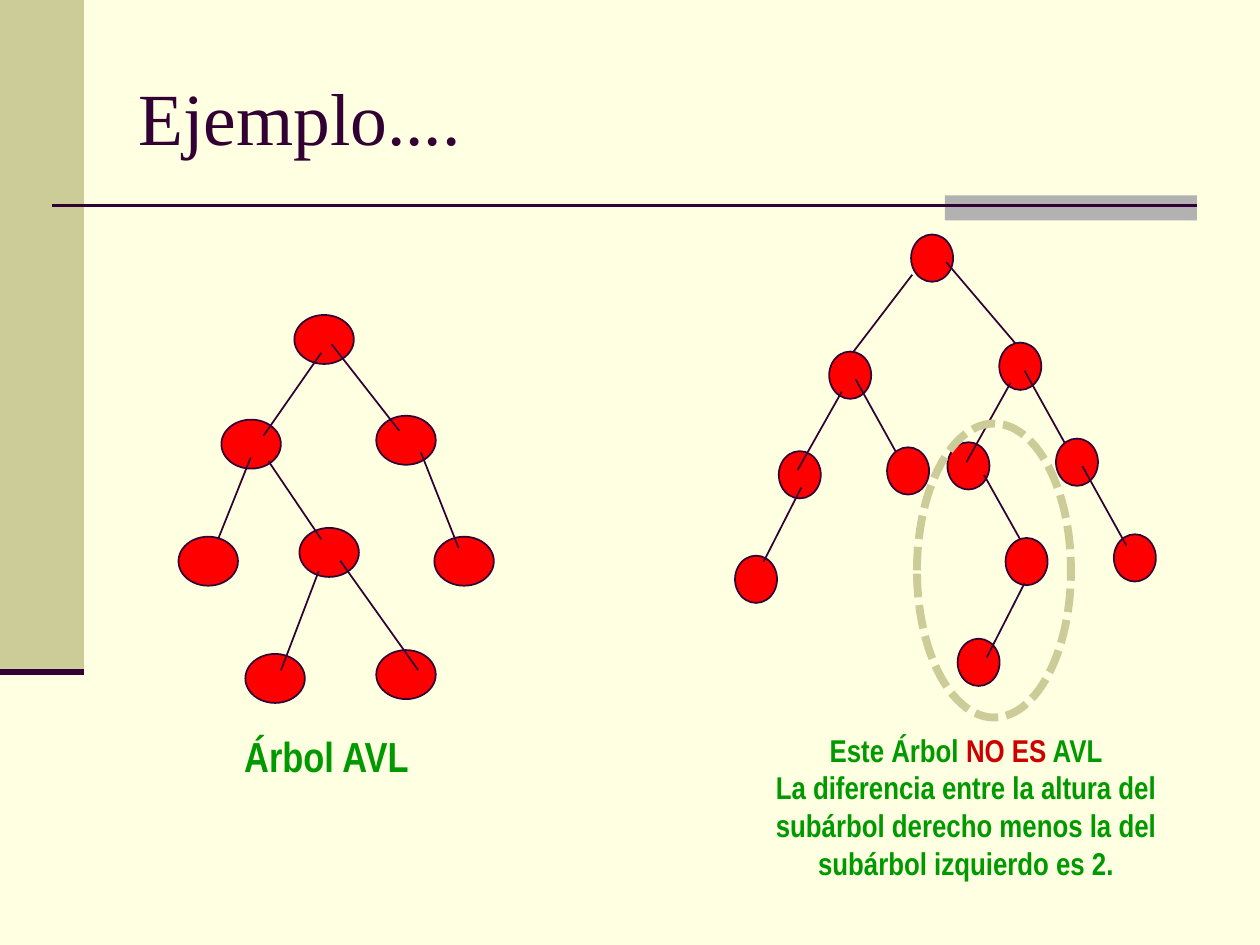
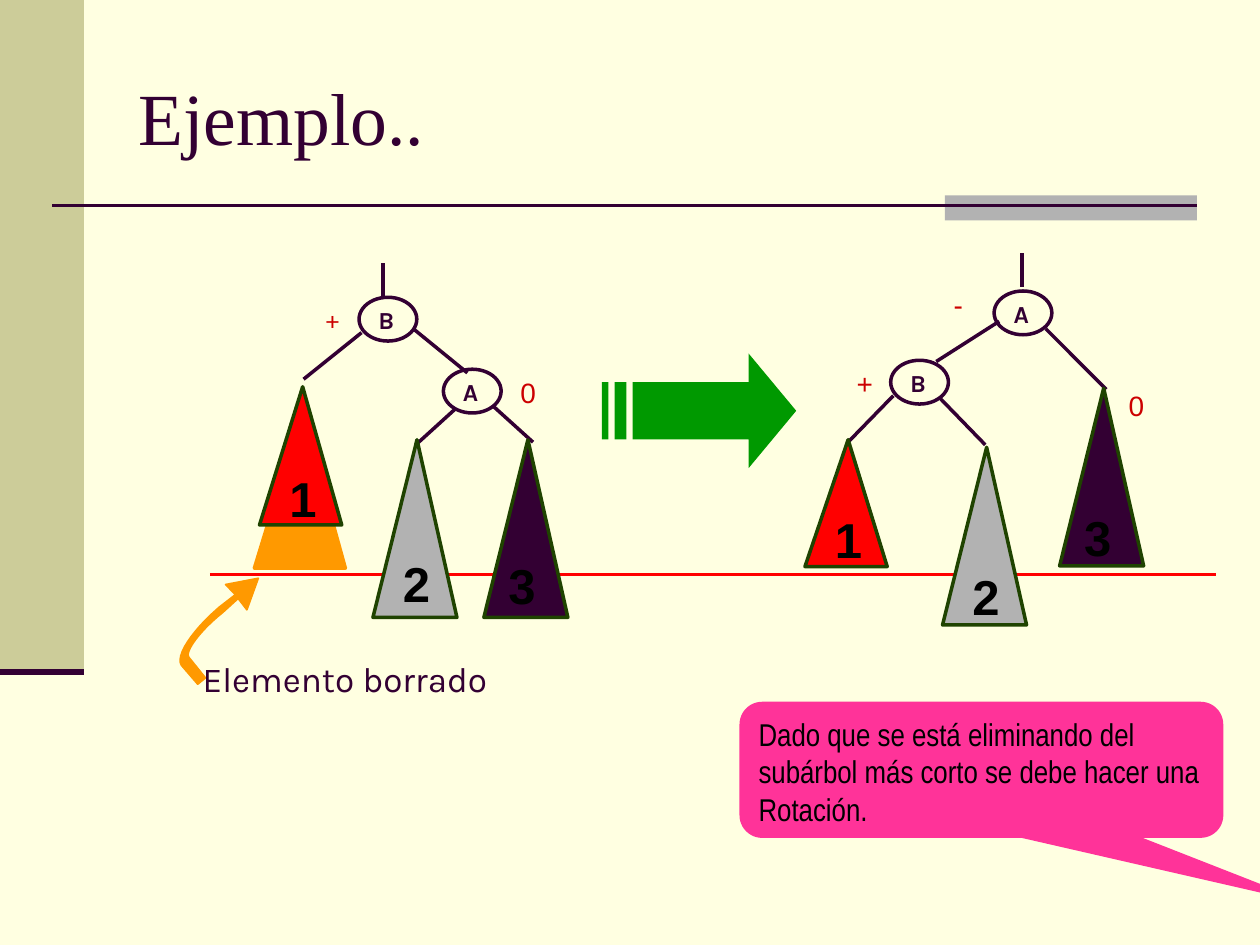
from lxml import etree
from pptx import Presentation
from pptx.dml.color import RGBColor
from pptx.enum.dml import MSO_LINE
from pptx.enum.shapes import MSO_CONNECTOR, MSO_SHAPE
from pptx.enum.text import MSO_ANCHOR, PP_ALIGN
from pptx.oxml.ns import qn
from pptx.util import Pt

RECT, OVAL = MSO_SHAPE.RECTANGLE, MSO_SHAPE.OVAL
CALLOUT = MSO_SHAPE.ROUNDED_RECTANGULAR_CALLOUT
STRAIGHT = MSO_CONNECTOR.STRAIGHT
DOTS = MSO_LINE.SQUARE_DOT
TOP, MIDDLE = MSO_ANCHOR.TOP, MSO_ANCHOR.MIDDLE
LEFT, CENTER = PP_ALIGN.LEFT, PP_ALIGN.CENTER

CREAM, SAND, GRAY, PLUM = "FFFFE1", "CCCC99", "B2B2B2", "330033"
RED, DARK_RED, GREEN, MOSS = "FF0000", "CC0000", "009900", "1F4300"
ORANGE, PINK, BLACK = "FF9900", "FF3399", "000000"
SERIF, SANS, NARROW, KARLA = "Times New Roman", "Arial", "Arial Narrow", "Karla"
APEX = 0.525  # where a triangle's tip sits along its width


def rgb(color):
    return RGBColor.from_string(color)


def paint(sp, fill=None, line=None, width=1):
    sp.shadow.inherit = False
    if fill:
        sp.fill.solid()
        sp.fill.fore_color.rgb = rgb(fill)
    else:
        sp.fill.background()
    if line:
        sp.line.color.rgb = rgb(line)
        sp.line.width = Pt(width)
    else:
        sp.line.fill.background()
    return sp


def shape(s, kind, x, y, w, h, **style):
    return paint(s.shapes.add_shape(kind, Pt(x), Pt(y), Pt(w), Pt(h)), **style)


def line(s, x1, y1, x2, y2, color=PLUM, width=1):
    c = s.shapes.add_connector(STRAIGHT, Pt(x1), Pt(y1), Pt(x2), Pt(y2))
    c.line.color.rgb = rgb(color)
    c.line.width = Pt(width)
    etree.SubElement(c._element.spPr, qn("a:effectLst"))


def outline(s, x, y, contours, **style):
    """Draw closed contours whose points are offsets from (x, y)."""
    builder = None
    for contour in contours:
        pts = [(Pt(x + px), Pt(y + py)) for px, py in contour]
        if builder is None:
            builder = s.shapes.build_freeform(*pts[0])
        else:
            builder.move_to(*pts[0])
        builder.add_line_segments(pts[1:], close=True)
    return paint(builder.convert_to_shape(), **style)


def bezier(p0, p1, p2, p3, steps=12):
    points = []
    for i in range(steps + 1):
        t = i / steps
        weights = ((1 - t) ** 3, 3 * t * (1 - t) ** 2, 3 * t * t * (1 - t), t ** 3)
        points.append(tuple(sum(k * p[axis] for k, p in zip(weights, (p0, p1, p2, p3)))
                            for axis in (0, 1)))
    return points


def write(tf, paragraphs, size=18, font=SANS, color=PLUM, bold=False,
          align=LEFT, anchor=TOP):
    """Each paragraph is a string or a list of (text, color) runs."""
    tf.word_wrap = True
    tf.vertical_anchor = anchor
    if isinstance(paragraphs, str):
        paragraphs = [paragraphs]
    for i, runs in enumerate(paragraphs):
        p = tf.paragraphs[0] if i == 0 else tf.add_paragraph()
        p.alignment = align
        for text, run_color in [(runs, color)] if isinstance(runs, str) else runs:
            r = p.add_run()
            r.text = text
            r.font.size, r.font.name, r.font.bold = Pt(size), font, bold
            r.font.color.rgb = rgb(run_color)


def text(s, x, y, w, h, paragraphs, **style):
    write(s.shapes.add_textbox(Pt(x), Pt(y), Pt(w), Pt(h)).text_frame,
          paragraphs, **style)


def base_slide(prs, title):
    s = prs.slides.add_slide(prs.slide_layouts[6])
    s.background.fill.solid()
    s.background.fill.fore_color.rgb = rgb(CREAM)
    # Side band, title rule and its gray tab
    shape(s, RECT, 0, 0, 48, 384, fill=SAND)
    shape(s, RECT, 540, 111.6, 144, 14.4, fill=GRAY)
    line(s, 30, 117.5, 684, 117.5, width=1.5)
    line(s, 0, 384, 48, 384, width=3.5)
    text(s, 72, 21.6, 612, 90, title, size=42, font=SERIF, anchor=MIDDLE)
    return s


def red_tree(s, x, y, node_w, node_h, parts):
    """Parts in drawing order: a pair is a node, four numbers are an edge."""
    for part in parts:
        if len(part) == 2:
            shape(s, OVAL, x + part[0], y + part[1], node_w, node_h, fill=RED, line=PLUM)
        else:
            x1, y1, x2, y2 = part
            line(s, x + x1, y + y1, x + x2, y + y2)


def rotation_tree(s, x, y, edges, rings, balances, triangles):
    for x1, y1, x2, y2 in edges:
        line(s, x + x1, y + y1, x + x2, y + y2, width=2)
    for name, rx, ry in rings:
        shape(s, OVAL, x + rx, y + ry, 33, 25, line=PLUM, width=2)
        text(s, x + rx + 4, y + ry + 1, 25, 24, name, size=14, font=KARLA, bold=True)
    for sign, bx, by, size, font in balances:
        text(s, x + bx, y + by, 24, 26, sign, size=size, font=font, color=DARK_RED)
    # Subtrees, with the number placed from the lower left corner
    for number, tx, ty, w, h, fill, border, dx, rise in triangles:
        outline(s, x + tx, y + ty, [[(APEX * w, 0), (0, h), (w, h)]],
                fill=fill, line=border, width=2)
        if number:
            text(s, x + tx + dx, y + ty + h - rise, 30, 41, number,
                 size=28, color=BLACK, bold=True)


def striped_arrow(s, x, y, w, h):
    top, bottom, neck = h / 4, h * 3 / 4, w * 0.755
    bars = [[(a, top), (b, top), (b, bottom), (a, bottom)]
            for a, b in ((0, 3.6), (7.2, 14))]
    body = [(17.5, top), (neck, top), (neck, 0), (w, h / 2),
            (neck, h), (neck, bottom), (17.5, bottom)]
    outline(s, x, y, [body] + bars, fill=GREEN)


def curved_arrow(s, x, y):
    outer = bezier((9.7, 50.2), (6.1, 45.1), (15.4, 30.7), (31.3, 17))
    head = [(40.6, 9.8), (34.9, 4.1), (53.6, 0.5), (47.1, 18.5), (42.1, 12)]
    inner = bezier((33.4, 19.9), (19.8, 30.7), (11.1, 43), (14, 45.8))
    outline(s, x, y, [[(19, 61)] + outer + head + inner + [(23.4, 57.4)]],
            fill=ORANGE, line=ORANGE)


def avl_slide(prs):
    s = base_slide(prs, "Ejemplo....")
    # Balanced tree
    red_tree(s, 102, 180, 34, 28, [
        (66.2, 0), (24.5, 59.8), (113, 57.6), (0, 126.7), (69.1, 121.7),
        (146.2, 126.7), (38.2, 193.7), (113, 191.5),
        (81.6, 21.6, 48.5, 69.1), (87.4, 16.6, 126.2, 66.2),
        (41.3, 81.4, 22.6, 128.2), (51.4, 83.5, 81.6, 128.2),
        (138.5, 78.5, 160.1, 133.2), (80.2, 146.2, 58.6, 203),
        (92.4, 140.4, 137, 203)])
    # Unbalanced tree
    red_tree(s, 420, 134, 24, 27, [
        (100.6, 0), (101.3, 23, 66.7, 68.3), (120.7, 15.8, 165.4, 68.3),
        (151, 61.8), (121.4, 118.7),
        (157.4, 84.9, 132.2, 130.2), (165.4, 77.7, 190.6, 123),
        (53.8, 66.9), (25, 123.8),
        (61, 89.9, 35.8, 134.6), (68.9, 82.7, 94.1, 128.1),
        (183.4, 116.6), (216.5, 171.3),
        (142.3, 137.4, 169, 185), (198.5, 132.4, 223.7, 177.8),
        (86.9, 121.6), (0, 183.5), (37.9, 144.6, 16.3, 187.1),
        (154.6, 173.4), (127.2, 231), (165.4, 199.4, 143.8, 241.8)])
    ring = shape(s, OVAL, 524, 242, 88, 168, line=SAND, width=4.5)
    ring.line.dash_style = DOTS
    # Captions
    text(s, 132.5, 414, 130, 36, "Árbol AVL",
         size=24, font=NARROW, color=GREEN, bold=True)
    text(s, 414, 414, 276, 94, [
        [("Este Árbol ", GREEN), ("NO ES", DARK_RED), (" AVL", GREEN)],
        "La diferencia entre la altura del subárbol derecho menos la del "
        "subárbol izquierdo es 2."],
        font=NARROW, color=GREEN, bold=True, align=CENTER)


def rotation_slide(prs):
    s = base_slide(prs, "Ejemplo..")
    line(s, 120, 328.3, 695, 328.3, color=RED, width=2)
    # Before the rotation
    rotation_tree(
        s, 144, 150,
        edges=[(74.9, 0.5, 74.9, 19.2), (29.5, 66.7, 62.6, 40.1),
               (92.2, 37.9, 123.1, 63.1), (116.6, 83.3, 93.6, 104.2),
               (137.5, 81.8, 160.6, 102.7)],
        rings=[("B", 61.2, 19.9), ("A", 109.4, 61)],
        balances=[("+", 35.3, 19.9, 14, KARLA), ("0", 146.2, 61, 16, SANS)],
        triangles=[("3", 132.5, 101.3, 48, 101.5, PLUM, MOSS, 7, 39),
                   ("2", 69.1, 101.3, 48, 101.5, GRAY, MOSS, 10, 40),
                   (None, 1.4, 85.4, 52, 89.3, ORANGE, ORANGE, 0, 0),
                   ("1", 4.3, 71, 47, 79, RED, MOSS, 10, 36)])
    # After the rotation
    rotation_tree(
        s, 460, 144,
        edges=[(123.9, 0.7, 123.9, 20.2), (75, 62.6, 111, 39.6),
               (137.6, 43.9, 172.2, 78.5), (24.6, 108.7, 50.5, 82.1),
               (77.1, 83.5, 103, 110.2)],
        rings=[("A", 108.1, 22.3), ("B", 49, 61.9)],
        balances=[("-", 77.8, 16.6, 16, SANS), ("+", 22.4, 61.9, 16, SANS),
                  ("0", 177.9, 74.2, 16, SANS)],
        triangles=[("3", 145.5, 77.8, 48, 101.5, PLUM, MOSS, 7, 37),
                   ("2", 78.6, 111.6, 48, 101.5, GRAY, MOSS, 10, 37),
                   ("1", 0, 107.3, 47, 72.5, RED, MOSS, 10, 36)])
    striped_arrow(s, 344, 202, 111, 65.5)
    # Deleted element and remark
    curved_arrow(s, 94, 330)
    text(s, 108.7, 372.2, 186, 31, "Elemento borrado", size=20, font=KARLA)
    note = shape(s, CALLOUT, 422.6, 401, 276.5, 77.8, fill=PINK)
    for i, value in enumerate((0.686, 0.991, 0.167)):
        note.adjustments[i] = value
    write(note.text_frame, "Dado que se está eliminando del subárbol más corto "
          "se debe hacer una Rotación.", font=NARROW, color=BLACK)


def main():
    prs = Presentation()
    prs.slide_width, prs.slide_height = Pt(720), Pt(540)
    avl_slide(prs)
    rotation_slide(prs)
    prs.save("out.pptx")


if __name__ == "__main__":
    main()
